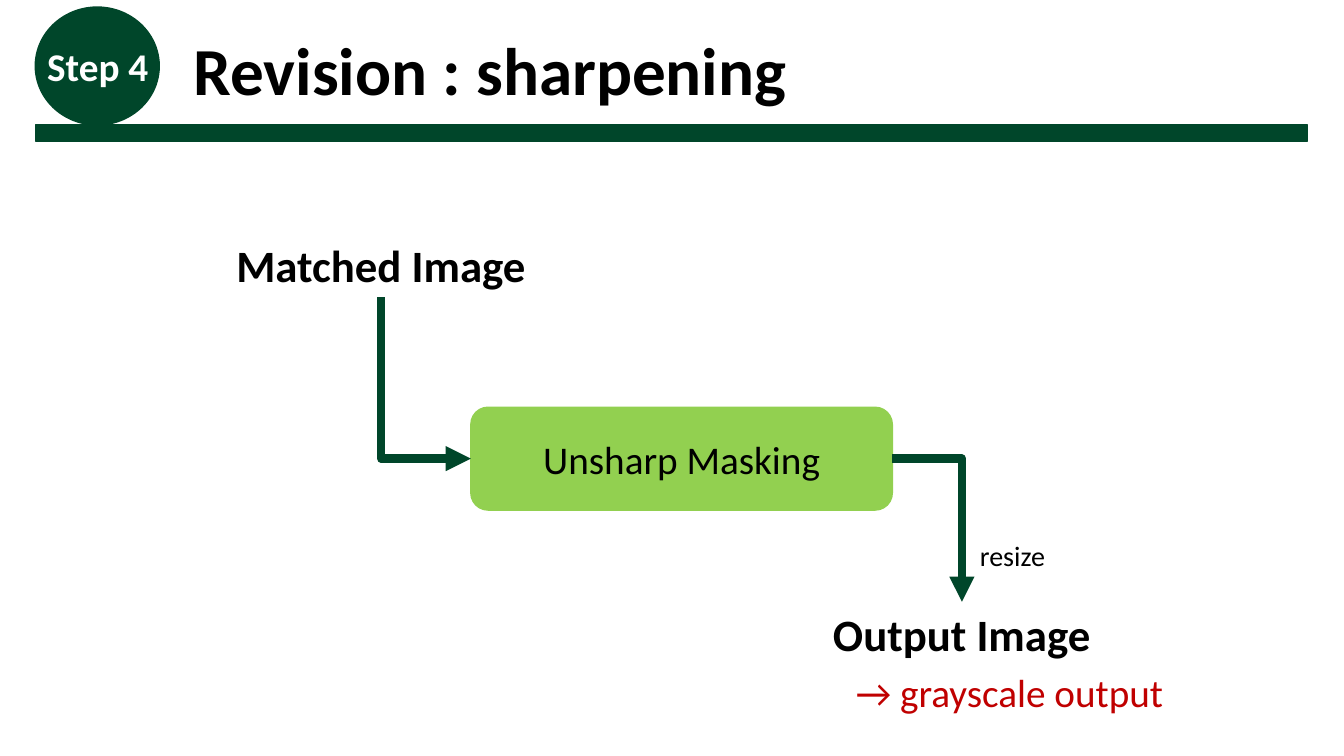
from pptx import Presentation
from pptx.dml.color import RGBColor
from pptx.enum.shapes import MSO_CONNECTOR, MSO_SHAPE
from pptx.enum.text import MSO_ANCHOR, MSO_AUTO_SIZE, PP_ALIGN
from pptx.oxml.ns import qn
from pptx.util import Inches, Pt
from lxml import etree

COLORS = {"dark": "00462A", "lime": "92D050", "black": "000000",
          "white": "FFFFFF", "red": "C00000"}


def rgb(name):
    return RGBColor.from_string(COLORS[name])


def write(shape, text, size, color="black", bold=False,
          align=PP_ALIGN.LEFT, anchor=MSO_ANCHOR.TOP):
    tf = shape.text_frame
    tf.vertical_anchor = anchor
    p = tf.paragraphs[0]
    p.alignment = align
    r = p.add_run()
    r.text = text
    style = {"name": "Calibri", "size": Pt(size), "bold": bold}
    for key, value in style.items():
        setattr(r.font, key, value)
    r.font.color.rgb = rgb(color)


def fit_to_text(shape):
    tf = shape.text_frame
    tf.word_wrap = False
    tf.auto_size = MSO_AUTO_SIZE.SHAPE_TO_FIT_TEXT


def add_title(s, box, text):
    title = s.shapes.title
    for key, value in zip(("left", "top", "width", "height"), box):
        setattr(title, key, Inches(value))
    write(title, text, 48, bold=True)
    fit_to_text(title)


def add_label(s, box, text, size, **style):
    label = s.shapes.add_textbox(*map(Inches, box))
    write(label, text, size, **style)
    fit_to_text(label)


def add_block(s, kind, box, color):
    block = s.shapes.add_shape(kind, *map(Inches, box))
    block.shadow.inherit = False
    block.fill.solid()
    block.fill.fore_color.rgb = rgb(color)
    block.line.color.rgb = rgb(color)
    block.line.width = Pt(1)
    return block


def add_bent_arrow(s, start, end, down_first=False):
    """Draw a one-corner arrow that leaves sideways, or downwards if down_first."""
    (x1, y1), (x2, y2) = start, end
    if down_first:
        # A quarter turn swaps width and height around the same centre.
        cx, cy = (x1 + x2) / 2, (y1 + y2) / 2
        half_w, half_h = (y2 - y1) / 2, (x2 - x1) / 2
        x1, y1, x2, y2 = cx + half_w, cy - half_h, cx - half_w, cy + half_h
    arrow = s.shapes.add_connector(MSO_CONNECTOR.ELBOW,
                                   *map(Inches, (x1, y1, x2, y2)))
    arrow.line.color.rgb = rgb("dark")
    arrow.line.width = Pt(6)
    sp_pr = arrow._element.spPr
    sp_pr.find(qn("a:prstGeom")).set("prst", "bentConnector2")
    if down_first:
        sp_pr.find(qn("a:xfrm")).set("rot", str(270 * 60000))
    etree.SubElement(sp_pr.find(qn("a:ln")), qn("a:tailEnd"), type="triangle")
    etree.SubElement(sp_pr, qn("a:effectLst"))


def main():
    prs = Presentation()
    prs.slide_width, prs.slide_height = Inches(13.33), Inches(7.5)
    s = prs.slides.add_slide(prs.slide_layouts[5])

    add_block(s, MSO_SHAPE.RECTANGLE, (0.35, 1.24, 12.62, 0.16), "dark")
    add_block(s, MSO_SHAPE.OVAL, (0.35, 0.07, 1.23, 1.17), "dark")
    add_label(s, (0.37, 0.37, 1.22, 0.57), "Step 4", 28, color="white", bold=True)
    add_title(s, (1.82, 0.23, 6.14, 0.91), "Revision : sharpening")

    heading = {"bold": True, "align": PP_ALIGN.CENTER}
    add_label(s, (2.23, 2.31, 3.1, 0.64), "Matched Image", 32, **heading)
    add_label(s, (8.15, 5.97, 2.78, 0.64), "Output Image", 32, **heading)

    masking = add_block(s, MSO_SHAPE.ROUNDED_RECTANGLE,
                        (4.67, 4.04, 4.18, 1.02), "lime")
    write(masking, "Unsharp Masking", 28,
          align=PP_ALIGN.CENTER, anchor=MSO_ANCHOR.MIDDLE)

    add_label(s, (9.62, 5.29, 0.86, 0.44), "resize", 20)
    add_label(s, (8.39, 6.58, 3.28, 0.57), "→ grayscale output", 28, color="red")

    add_bent_arrow(s, (8.85, 4.55), (9.54, 5.97))
    add_bent_arrow(s, (3.78, 2.95), (4.67, 4.55), down_first=True)
    prs.save("out.pptx")


if __name__ == "__main__":
    main()
